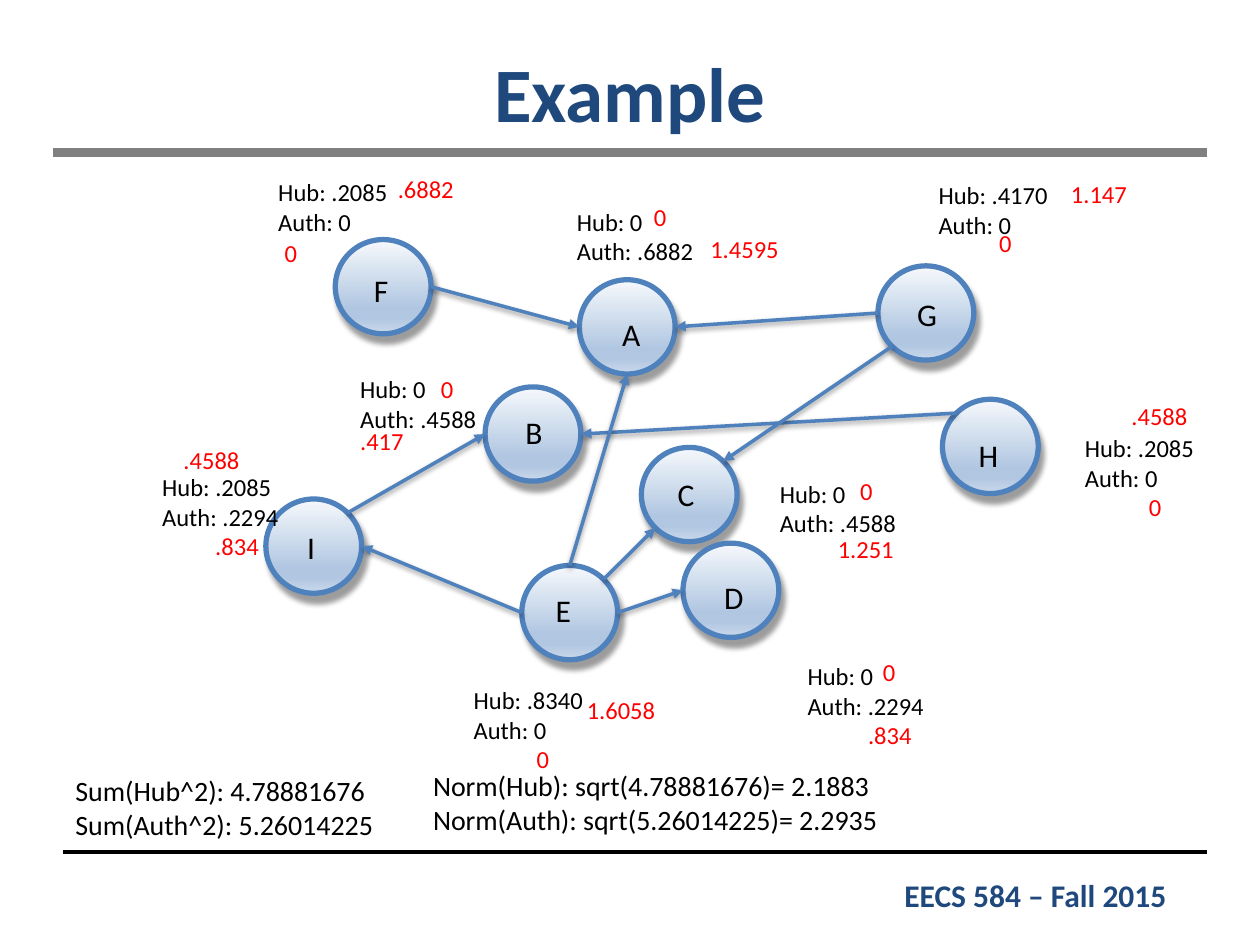
from dataclasses import dataclass
from math import cos, radians, sin

from lxml import etree
from pptx import Presentation
from pptx.dml.color import RGBColor
from pptx.enum.shapes import MSO_CONNECTOR, MSO_SHAPE
from pptx.enum.text import MSO_ANCHOR, PP_ALIGN
from pptx.oxml.ns import qn
from pptx.util import Cm, Pt

STRAIGHT = MSO_CONNECTOR.STRAIGHT
ELLIPSE = MSO_SHAPE.OVAL
TOP, MIDDLE = MSO_ANCHOR.TOP, MSO_ANCHOR.MIDDLE
LEFT, CENTER = PP_ALIGN.LEFT, PP_ALIGN.CENTER


@dataclass(frozen=True)
class Theme:
    font: str = "Calibri"
    navy: str = "1F497D"
    blue: str = "4F81BD"
    gray: str = "808080"
    black: str = "000000"
    red: str = "FF0000"
    gradient: tuple = ((0, "F6F9FC"), (74, "B0C6E1"), (83, "B0C6E1"), (100, "CAD9EB"))
    title_size: int = 44
    label_size: int = 18
    sum_size: int = 16
    score_size: int = 14


@dataclass(frozen=True)
class Node:
    name: str
    corner: tuple
    label: tuple
    hub: str
    auth: str
    scores: tuple
    new_hub: str
    new_hub_at: tuple
    new_auth: str
    new_auth_at: tuple


THEME = Theme()
NODE_WIDTH, NODE_HEIGHT = 1.93, 1.9

NODES = (
    Node("A", (11.68, 5.64), (12.29, 6.22), "0", ".6882", (11.38, 4.04),
         "0", (12.93, 3.94), "1.4595", (14.07, 4.6)),
    Node("C", (12.93, 9.02), (13.41, 9.45), "0", ".4588", (15.47, 9.53),
         "0", (17.09, 9.47), "1.251", (16.64, 10.64)),
    Node("E", (10.52, 11.4), (10.95, 11.79), ".8340", "0", (9.3, 13.69),
         "1.6058", (11.58, 13.89), "0", (10.57, 14.88)),
    Node("D", (13.77, 10.95), (14.35, 11.53), "0", ".2294", (16.03, 13.21),
         "0", (17.55, 13.13), ".834", (17.25, 14.4)),
    Node("B", (9.78, 7.8), (10.34, 8.2), "0", ".4588", (7.01, 7.42),
         "0", (8.64, 7.42), ".417", (7.01, 8.46)),
    Node("F", (6.76, 4.83), (7.29, 5.33), ".2085", "0", (5.36, 3.45),
         ".6882", (7.77, 3.38), "0", (5.49, 4.67)),
    Node("I", (5.36, 10.06), (5.94, 10.52), ".2085", ".2294", (3.02, 9.4),
         ".4588", (3.45, 8.84), ".834", (4.09, 10.59)),
    Node("H", (19, 8.05), (19.48, 8.66), ".2085", "0", (21.62, 8.61),
         ".4588", (22.56, 7.95), "0", (22.91, 9.8)),
    Node("G", (17.7, 5.36), (18.24, 5.82), ".4170", "0", (18.67, 3.51),
         "1.147", (21.34, 3.48), "0", (19.89, 4.47)),
)

LINKS = (
    ("F", 6, "A", 2), ("G", 2, "A", 6), ("H", 1, "B", 6),
    ("G", 3, "C", 7), ("E", 2, "I", 6), ("E", 7, "C", 3),
    ("E", 0, "A", 4), ("I", 7, "B", 2), ("E", 6, "D", 2),
)


def add_text(slide, box, lines, size, color=THEME.black, bold=False,
             align=LEFT, anchor=TOP):
    text_frame = slide.shapes.add_textbox(*map(Cm, box)).text_frame
    text_frame.word_wrap = True
    text_frame.vertical_anchor = anchor
    text_frame.text = "\n".join(lines)
    for paragraph in text_frame.paragraphs:
        paragraph.alignment = align
        for run in paragraph.runs:
            run.font.name = THEME.font
            run.font.size = Pt(size)
            run.font.bold = bold
            run.font.color.rgb = RGBColor.from_string(color)


def add_color(parent, color):
    return etree.SubElement(parent, qn("a:srgbClr"), val=color)


def add_shadow(effects, distance, angle):
    shadow = etree.SubElement(
        effects, qn("a:outerShdw"), blurRad=str(Pt(3.1)), dist=str(Pt(distance)),
        dir=str(angle * 60000), rotWithShape="0")
    etree.SubElement(add_color(shadow, THEME.black), qn("a:alpha"), val="38000")


def add_gradient(shape):
    shape.fill.gradient()
    shape.fill.gradient_angle = 270
    stops = shape._element.spPr.find(qn("a:gradFill")).find(qn("a:gsLst"))
    for stop in list(stops):
        stops.remove(stop)
    for position, color in THEME.gradient:
        add_color(etree.SubElement(stops, qn("a:gs"), pos=str(position * 1000)), color)


def add_line(slide, start, end, color, width):
    connector = slide.shapes.add_connector(STRAIGHT, *map(Cm, (*start, *end)))
    connector.line.color.rgb = RGBColor.from_string(color)
    connector.line.width = Pt(width)
    effects = etree.SubElement(connector._element.spPr, qn("a:effectLst"))
    return connector, effects


def add_node(slide, node):
    shape = slide.shapes.add_shape(
        ELLIPSE, *map(Cm, (*node.corner, NODE_WIDTH, NODE_HEIGHT)))
    add_gradient(shape)
    shape.line.color.rgb = RGBColor.from_string(THEME.blue)
    shape.line.width = Pt(3)
    shape.shadow.inherit = False
    add_shadow(shape._element.spPr.find(qn("a:effectLst")), 5, 66)
    add_text(slide, (*node.label, 0.89, 1.02), [node.name], THEME.label_size)
    return shape


def site_point(node, site):
    angle = radians(90 + 45 * site)
    left, top = node.corner
    return (left + NODE_WIDTH / 2 * (1 + cos(angle)),
            top + NODE_HEIGHT / 2 * (1 - sin(angle)))


def add_link(slide, nodes, shapes, source, source_site, target, target_site):
    connector, effects = add_line(
        slide, site_point(nodes[source], source_site),
        site_point(nodes[target], target_site), THEME.blue, 2)
    add_shadow(effects, 1.6, 90)
    line = connector._element.spPr.find(qn("a:ln"))
    etree.SubElement(line, qn("a:tailEnd"), type="triangle")
    joins = connector._element.nvCxnSpPr.cNvCxnSpPr
    for tag, name, site in (("a:stCxn", source, source_site),
                            ("a:endCxn", target, target_site)):
        etree.SubElement(joins, qn(tag), id=str(shapes[name].shape_id), idx=str(site))


def add_scores(slide, node):
    add_text(slide, (*node.scores, 3.3, 1.45),
             [f"Hub: {node.hub}", f"Auth: {node.auth}"], THEME.score_size)
    for value, position in ((node.new_hub, node.new_hub_at),
                            (node.new_auth, node.new_auth_at)):
        add_text(slide, (*position, 3.15, 0.86), [value], THEME.score_size, THEME.red)


def add_frame(slide):
    add_line(slide, (1.27, 17.17), (24.33, 17.17), THEME.black, 2)
    add_line(slide, (1.07, 3.07), (24.33, 3.07), THEME.gray, 5)
    add_text(slide, (17.98, 17.53, 6.27, 1.02), ["EECS 584 – Fall 2015"],
             THEME.label_size, THEME.navy, bold=True)
    add_text(slide, (1.27, 0.76, 22.86, 2.16), ["Example"], THEME.title_size,
             THEME.navy, bold=True, align=CENTER, anchor=MIDDLE)


def add_sums(slide):
    add_text(slide, (1.27, 15.47, 7.37, 1.63),
             ["Sum(Hub^2): 4.78881676", "Sum(Auth^2): 5.26014225"], THEME.sum_size)
    add_text(slide, (8.48, 15.37, 14.43, 1.63),
             ["Norm(Hub): sqrt(4.78881676)= 2.1883",
              "Norm(Auth): sqrt(5.26014225)= 2.2935"], THEME.sum_size)


def main():
    presentation = Presentation()
    presentation.slide_width, presentation.slide_height = Cm(25.4), Cm(19.05)
    slide = presentation.slides.add_slide(presentation.slide_layouts[6])
    add_frame(slide)
    nodes = {node.name: node for node in NODES}
    shapes = {node.name: add_node(slide, node) for node in NODES}
    for link in LINKS:
        add_link(slide, nodes, shapes, *link)
    for node in NODES:
        add_scores(slide, node)
    add_sums(slide)
    presentation.save("out.pptx")


if __name__ == "__main__":
    main()
